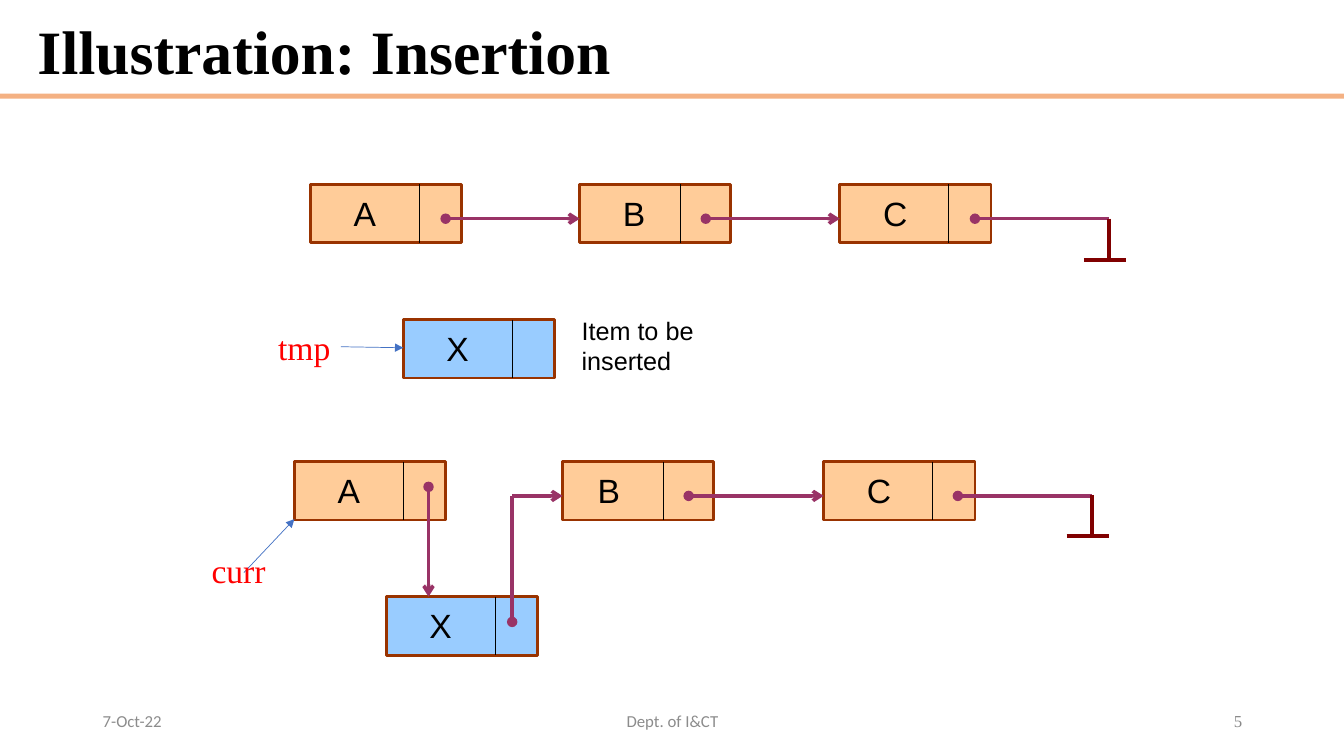
"""Build the slide that illustrates insertion into a linked list."""
from dataclasses import dataclass

import pptx
import pptx.util
import pptx.dml.color
import pptx.enum.shapes
import pptx.enum.text
import pptx.oxml
import pptx.oxml.ns

Inches = pptx.util.Inches
Pt = pptx.util.Pt
RGBColor = pptx.dml.color.RGBColor
PP_ALIGN = pptx.enum.text.PP_ALIGN
MSO_ANCHOR = pptx.enum.text.MSO_ANCHOR

BLACK = RGBColor(0x00, 0x00, 0x00)
RED = RGBColor(0xFF, 0x00, 0x00)
GREY = RGBColor(0x8C, 0x8C, 0x8C)
NUMBER_GREY = RGBColor(0x89, 0x89, 0x89)
RULE_ORANGE = RGBColor(0xF4, 0xB1, 0x83)
PEACH = RGBColor(0xFF, 0xCC, 0x99)
SKY = RGBColor(0x99, 0xCC, 0xFF)
BROWN = RGBColor(0x99, 0x33, 0x00)
PLUM = RGBColor(0x99, 0x33, 0x66)
MAROON = RGBColor(0x80, 0x00, 0x00)
BLUE = RGBColor(0x44, 0x72, 0xC4)

NODE_WIDTH, NODE_HEIGHT = 1.5, 0.58


@dataclass
class Node:
    label: str
    left: float
    top: float
    fill: RGBColor = PEACH
    divider: float = 1.08
    label_offset: float = 0.33


@dataclass
class Line:
    x1: float
    y1: float
    x2: float
    y2: float
    color: RGBColor = PLUM
    width: float = 2.5
    head: str = ""
    tail: str = ""


@dataclass
class Text:
    text: str
    left: float
    top: float
    width: float
    height: float
    size: float
    font: str
    color: RGBColor = BLACK
    align: PP_ALIGN = PP_ALIGN.LEFT
    anchor: MSO_ANCHOR = MSO_ANCHOR.TOP
    wrap: bool = True
    margin_top: float = 0.05


NODES = [
    Node("A", 3.08, 1.83),
    Node("B", 5.75, 1.83, divider=1.0),
    Node("C", 8.33, 1.83),
    Node("X", 4.0, 3.17, SKY),
    Node("A", 2.92, 4.58),
    Node("B", 5.58, 4.58, divider=1.0, label_offset=0.25),
    Node("C", 8.17, 4.58),
    Node("X", 3.83, 5.92, SKY),
]

LINES = [
    Line(4.42, 2.17, 5.75, 2.17, head="oval", tail="arrow"),
    Line(7.0, 2.17, 8.33, 2.17, head="oval", tail="arrow"),
    Line(9.67, 2.17, 11.0, 2.17, head="oval"),
    Line(11.0, 2.17, 11.0, 2.58, MAROON),
    Line(10.75, 2.58, 11.17, 2.58, MAROON),
    Line(4.25, 4.83, 4.25, 5.92, head="oval", tail="arrow"),
    Line(5.08, 6.17, 5.08, 4.92, head="oval"),
    Line(5.08, 4.92, 5.58, 4.92, tail="arrow"),
    Line(6.83, 4.92, 8.17, 4.92, head="oval", tail="arrow"),
    Line(9.5, 4.92, 10.83, 4.92, head="oval"),
    Line(10.83, 4.91, 10.83, 5.32, MAROON),
    Line(10.58, 5.32, 11.0, 5.32, MAROON),
    Line(2.42, 5.68, 2.92, 5.15, BLUE, 0.5, tail="triangle"),
    Line(3.38, 3.44, 4.0, 3.45, BLUE, 0.5, tail="triangle"),
]

TEXTS = [
    Text("Item to be inserted", 5.67, 3.08, 1.83, 0.7, 18, "Arial"),
    Text("tmp", 2.66, 3.19, 0.72, 0.5, 24, "Times New Roman", RED, wrap=False),
    Text("curr", 2.0, 5.41, 0.74, 0.5, 24, "Times New Roman", RED, wrap=False),
    Text("7-Oct-22", 0.92, 6.95, 3, 0.4, 12, "Calibri", GREY,
         anchor=MSO_ANCHOR.MIDDLE),
    Text("Dept. of I&CT", 4.42, 6.95, 4.5, 0.4, 12, "Calibri", GREY,
         PP_ALIGN.CENTER, MSO_ANCHOR.MIDDLE),
    Text("5", 9.42, 6.95, 3, 0.4, 12, "Times New Roman", NUMBER_GREY,
         PP_ALIGN.RIGHT, MSO_ANCHOR.MIDDLE),
]


def add_rect(slide, left: float, top: float, width: float, height: float, fill: RGBColor):
    sp = slide.shapes.add_shape(
        pptx.enum.shapes.MSO_SHAPE.RECTANGLE,
        Inches(left), Inches(top), Inches(width), Inches(height))
    sp.shadow.inherit = False
    sp.fill.solid()
    sp.fill.fore_color.rgb = fill
    sp.line.fill.background()
    return sp


def add_line(slide, line: Line) -> None:
    sp = slide.shapes.add_connector(
        pptx.enum.shapes.MSO_CONNECTOR.STRAIGHT,
        Inches(line.x1), Inches(line.y1), Inches(line.x2), Inches(line.y2))
    sp.line.color.rgb = line.color
    sp.line.width = Pt(line.width)
    ln = sp.line._get_or_add_ln()
    for tag, kind in (("a:headEnd", line.head), ("a:tailEnd", line.tail)):
        if kind:
            end = pptx.oxml.ns.qn(tag)
            ln.append(ln.makeelement(end, {"type": kind}))
    spPr = sp._element.spPr
    spPr.append(spPr.makeelement(pptx.oxml.ns.qn("a:effectLst"), {}))


def add_text(slide, item: Text) -> None:
    sp = slide.shapes.add_textbox(
        Inches(item.left), Inches(item.top), Inches(item.width), Inches(item.height))
    tf = sp.text_frame
    tf.word_wrap = item.wrap
    tf.vertical_anchor = item.anchor
    tf.margin_top = Inches(item.margin_top)
    tf.text = item.text
    p = tf.paragraphs[0]
    p.alignment = item.align
    r = p.runs[0]
    r.font.name = item.font
    r.font.size = Pt(item.size)
    r.font.color.rgb = item.color


def add_node(slide, node: Node) -> None:
    sp = add_rect(slide, node.left, node.top, NODE_WIDTH, NODE_HEIGHT, node.fill)
    sp.line.color.rgb = BROWN
    sp.line.width = Pt(2)
    x = node.left + node.divider
    add_line(slide, Line(x, node.top, x, node.top + NODE_HEIGHT, BLACK, 0.75))
    add_text(slide, Text(node.label, node.left + node.label_offset, node.top,
                         0.67, 0.5, 24, "Arial", margin_top=0.08))


def add_title(slide, text: str) -> None:
    sp = slide.shapes.title
    sp.left, sp.top = Inches(0.27), Inches(0.15)
    sp.width, sp.height = Inches(12.15), Inches(0.79)
    tf = sp.text_frame
    tf.text = text
    tf.vertical_anchor = MSO_ANCHOR.MIDDLE
    p = tf.paragraphs[0]
    p.alignment = PP_ALIGN.LEFT
    p.line_spacing = 0.9
    r = p.runs[0]
    r.font.name = "Times New Roman"
    r.font.size = Pt(44)
    r.font.bold = True
    r.font.color.rgb = BLACK


def main() -> None:
    prs = pptx.Presentation()
    prs.slide_width, prs.slide_height = Inches(13.33), Inches(7.5)
    slide = prs.slides.add_slide(prs.slide_layouts.get_by_name("Title Only"))
    add_rect(slide, 0, 0.93, 13.33, 0.05, RULE_ORANGE)
    add_title(slide, "Illustration: Insertion")
    for node in NODES:
        add_node(slide, node)
    for line in LINES:
        add_line(slide, line)
    for item in TEXTS:
        add_text(slide, item)
    prs.save("out.pptx")


if __name__ == "__main__":
    main()
